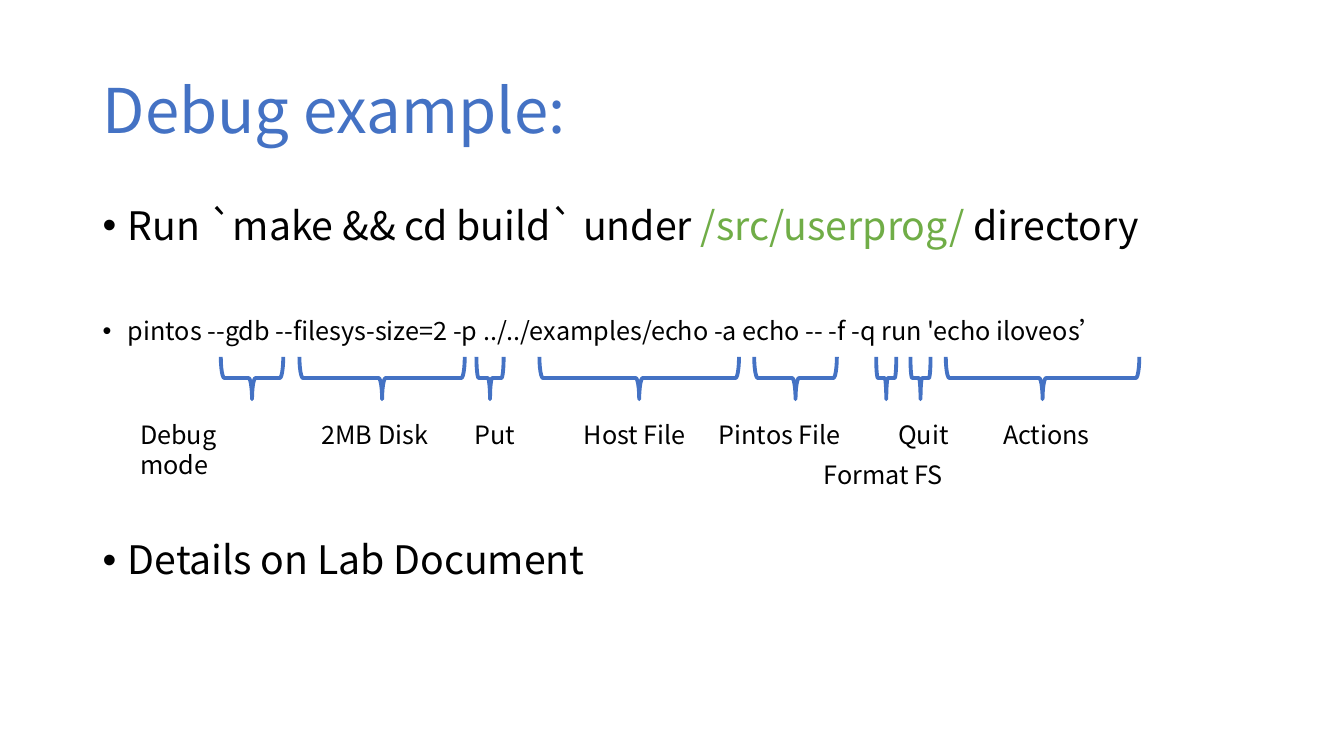
import pptx
import pptx.dml.color
import pptx.enum.shapes
import pptx.enum.text
import pptx.util
from lxml import etree

WIDTH = pptx.util.Inches(13.33)
HEIGHT = pptx.util.Inches(7.5)
FONT = "Noto Sans CJK SC"
COLORS = {"blue": "4472C4", "green": "70AD47", "black": "000000"}

MARGIN, CONTENT_WIDTH = 6.9, 86.27
BRACE_MIDDLE, BRACE_DEPTH = 50, 5.6
LABEL_WIDTH, LABEL_HEIGHT = 12.3, 5.33
LABEL_ROW, LOWER_LABEL_ROW = 54.75, 60.13

# label, its left and top, brace centre and brace span, in percent of the slide
COMMAND_PARTS = [
    ("Debug mode", 9.68, LABEL_ROW, 18.75, 4.65),
    ("2MB Disk", 23.18, LABEL_ROW, 28.43, 12.3),
    ("Put", 34.58, LABEL_ROW, 36.46, 2.03),
    ("Host File", 42.69, LABEL_ROW, 47.56, 14.85),
    ("Pintos File", 52.74, LABEL_ROW, 59.19, 6.15),
    ("Format FS", 60.54, LOWER_LABEL_ROW, 65.94, 1.5),
    ("Quit", 66.09, LABEL_ROW, 68.49, 1.5),
    ("Actions", 73.89, LABEL_ROW, 77.57, 14.4),
]

# size, space before, runs of text and colour
BULLETS = [
    (28, 10, [("Run `make && cd build` under ", "black"),
              ("/src/userprog/ ", "green"), ("directory", "black")]),
    (18, 50, [("pintos --gdb --filesys-size=2 -p ../../examples/echo "
               "-a echo -- -f -q run 'echo iloveos’", "black")]),
    (28, 139, [("Details on Lab Document", "black")]),
]


def across(percent):
    return round(WIDTH * percent / 100)


def down(percent):
    return round(HEIGHT * percent / 100)


def color(name):
    return pptx.dml.color.RGBColor.from_string(COLORS[name])


def set_font(paragraph, size, color_name="black"):
    paragraph.font.name = FONT
    paragraph.font.size = pptx.util.Pt(size)
    paragraph.font.color.rgb = color(color_name)


def add_text_frame(slide, left, top, width, height):
    box = slide.shapes.add_textbox(across(left), down(top), across(width), down(height))
    box.text_frame.word_wrap = True
    return box.text_frame


def add_title(slide, text):
    frame = add_text_frame(slide, MARGIN, 5.33, CONTENT_WIDTH, 19.33)
    frame.vertical_anchor = pptx.enum.text.MSO_ANCHOR.MIDDLE
    paragraph = frame.paragraphs[0]
    paragraph.text = text
    paragraph.line_spacing = 0.9
    set_font(paragraph, 44, "blue")


def add_bullet_mark(paragraph):
    """Give the paragraph a round bullet with a hanging indent."""
    properties = paragraph._p.get_or_add_pPr()
    indent = pptx.util.Inches(0.25)
    properties.set("marL", str(indent))
    properties.set("indent", str(-indent))
    namespace = pptx.oxml.ns.qn("a:buFont"), pptx.oxml.ns.qn("a:buChar")
    mark_font = etree.Element(namespace[0], typeface="Arial")
    mark = etree.Element(namespace[1], char="•")
    properties.insert_element_before(mark_font, "a:tabLst", "a:defRPr", "a:extLst")
    properties.insert_element_before(mark, "a:tabLst", "a:defRPr", "a:extLst")


def add_bullets(slide):
    frame = add_text_frame(slide, MARGIN, 26.67, CONTENT_WIDTH, 57.2)
    for index, (size, space_before, runs) in enumerate(BULLETS):
        paragraph = frame.add_paragraph() if index else frame.paragraphs[0]
        paragraph.line_spacing = 0.9
        paragraph.space_before = pptx.util.Pt(space_before)
        set_font(paragraph, size)
        add_bullet_mark(paragraph)
        for text, color_name in runs:
            run = paragraph.add_run()
            run.text = text
            run.font.color.rgb = color(color_name)


def add_brace(slide, center, span):
    """Add a brace that opens upward; it is drawn upright, then turned."""
    depth, length = down(BRACE_DEPTH), across(span)
    brace = slide.shapes.add_shape(
        pptx.enum.shapes.MSO_SHAPE.RIGHT_BRACE,
        across(center) - depth // 2, down(BRACE_MIDDLE) - length // 2, depth, length)
    brace.rotation = 90
    brace.shadow.inherit = False
    brace.fill.background()
    brace.line.color.rgb = color("blue")
    brace.line.width = pptx.util.Pt(2.75)


def add_label(slide, text, left, top):
    frame = add_text_frame(slide, left, top, LABEL_WIDTH, LABEL_HEIGHT)
    frame.paragraphs[0].text = text
    set_font(frame.paragraphs[0], 18)


def main():
    presentation = pptx.Presentation()
    presentation.slide_width, presentation.slide_height = WIDTH, HEIGHT
    slide = presentation.slides.add_slide(presentation.slide_layouts[6])
    add_title(slide, "Debug example:")
    add_bullets(slide)
    for text, left, top, center, span in COMMAND_PARTS:
        add_brace(slide, center, span)
        add_label(slide, text, left, top)
    presentation.save("out.pptx")


if __name__ == "__main__":
    main()
